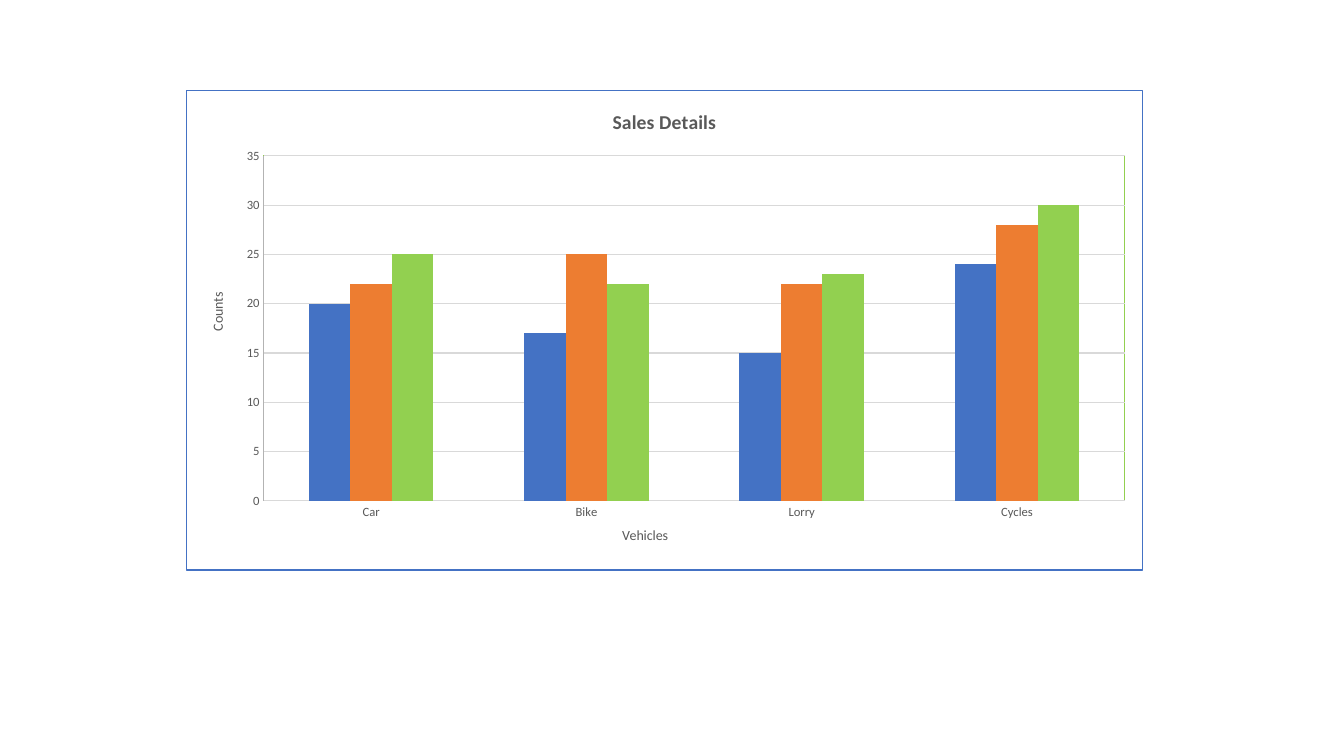
from dataclasses import dataclass

import lxml.etree
import pptx
import pptx.chart.data
import pptx.dml.color
import pptx.enum.chart
import pptx.oxml
import pptx.oxml.ns
import pptx.util

Inches = pptx.util.Inches
qn = pptx.oxml.ns.qn


@dataclass(frozen=True)
class Theme:
    font: str = "Calibri"
    text: str = "595959"
    grid: str = "D9D9D9"
    axis: str = "B3B3B3"
    border: str = "4472C4"
    plot_border: str = "92D050"
    series: tuple = ("4472C4", "ED7D31", "92D050")
    title_size: int = 14
    axis_title_size: int = 10
    tick_size: int = 9
    line_width: float = 0.75


def set_values(target, values):
    for name, value in values.items():
        setattr(target, name, value)


def color(code):
    return pptx.dml.color.RGBColor.from_string(code)


class SlideBuilder:
    def __init__(self, slide, theme):
        self.slide = slide
        self.theme = theme

    def style_font(self, font, size, bold=False):
        set_values(font, {"name": self.theme.font, "size": pptx.util.Pt(size), "bold": bold})
        font.color.rgb = color(self.theme.text)

    def style_line(self, line, code):
        line.color.rgb = color(code)
        line.width = pptx.util.Pt(self.theme.line_width)

    def place(self, element, index, **fractions):
        for layout in element.findall(qn("c:layout")):
            element.remove(layout)
        layout = lxml.etree.Element(qn("c:layout"))
        manual = lxml.etree.SubElement(layout, qn("c:manualLayout"))
        modes = {"xMode": "edge", "yMode": "edge"}
        if "w" in fractions:
            modes = {"layoutTarget": "inner", **modes}
        for name, value in {**modes, **fractions}.items():
            lxml.etree.SubElement(manual, qn(f"c:{name}")).set("val", str(value))
        element.insert(index, layout)

    def title(self, owner, text, size, bold=False):
        title = owner.chart_title if hasattr(owner, "chart_title") else owner.axis_title
        title.text_frame.text = text
        run = title.text_frame.paragraphs[0].runs[0]
        self.style_font(run.font, size, bold)
        return title

    def axis(self, axis, text, line, x, y):
        marks = pptx.enum.chart.XL_TICK_MARK
        set_values(axis, {"major_tick_mark": marks.NONE, "minor_tick_mark": marks.NONE})
        self.style_font(axis.tick_labels.font, self.theme.tick_size)
        self.style_line(axis.format.line, line)
        title = self.title(axis, text, self.theme.axis_title_size)
        self.place(title._element, 1, x=x, y=y)

    def border(self, code):
        return pptx.oxml.parse_xml(
            f'<c:spPr {pptx.oxml.ns.nsdecls("c", "a")}><a:noFill/>'
            f'<a:ln w="{pptx.util.Pt(self.theme.line_width)}"><a:solidFill>'
            f'<a:srgbClr val="{code}"/></a:solidFill></a:ln></c:spPr>'
        )

    def column_chart(self, title, categories, series, left, top, width, height):
        data = pptx.chart.data.CategoryChartData(number_format="General")
        data.categories = categories
        for name, values in series.items():
            data.add_series(name, values)
        chart = self.slide.shapes.add_chart(
            pptx.enum.chart.XL_CHART_TYPE.COLUMN_CLUSTERED,
            Inches(left), Inches(top), Inches(width), Inches(height), data,
        ).chart
        self.style_font(chart.font, self.theme.axis_title_size)
        chart.has_legend = False
        self.title(chart, title, self.theme.title_size, True)
        plot = chart.plots[0]
        set_values(plot, {"gap_width": 219, "overlap": 0, "vary_by_categories": False})
        for column, code in zip(plot.series, self.theme.series):
            column.format.fill.solid()
            column.format.fill.fore_color.rgb = color(code)
        return chart

    def frame(self, chart, **fractions):
        body = chart._chartSpace.find(qn("c:chart"))
        body.addnext(self.border(self.theme.border))
        plot_area = body.find(qn("c:plotArea"))
        self.place(plot_area, 0, **fractions)
        plot_area.append(self.border(self.theme.plot_border))


def main():
    presentation = pptx.Presentation()
    set_values(presentation, {"slide_width": Inches(13.33), "slide_height": Inches(7.5)})
    theme = Theme()
    builder = SlideBuilder(presentation.slides.add_slide(presentation.slide_layouts[6]), theme)

    chart = builder.column_chart(
        "Sales Details",
        ["Car", "Bike", "Lorry", "Cycles"],
        {
            "Series 1": (20, 17, 15, 24),
            "Series 2": (22, 25, 22, 28),
            "Series 3": (25, 22, 23, 30),
        },
        1.84, 0.89, 9.5, 4.77,
    )
    builder.axis(chart.category_axis, "Vehicles", theme.grid, x=0.453, y=0.904)
    builder.axis(chart.value_axis, "Counts", theme.axis, x=0.021, y=0.416)
    set_values(chart.value_axis, {
        "minimum_scale": 0, "maximum_scale": 35, "major_unit": 5, "has_major_gridlines": True,
    })
    builder.style_line(chart.value_axis.major_gridlines.format.line, theme.grid)
    builder.frame(chart, x=0.081, y=0.137, w=0.9, h=0.719)

    presentation.save("out.pptx")


if __name__ == "__main__":
    main()
